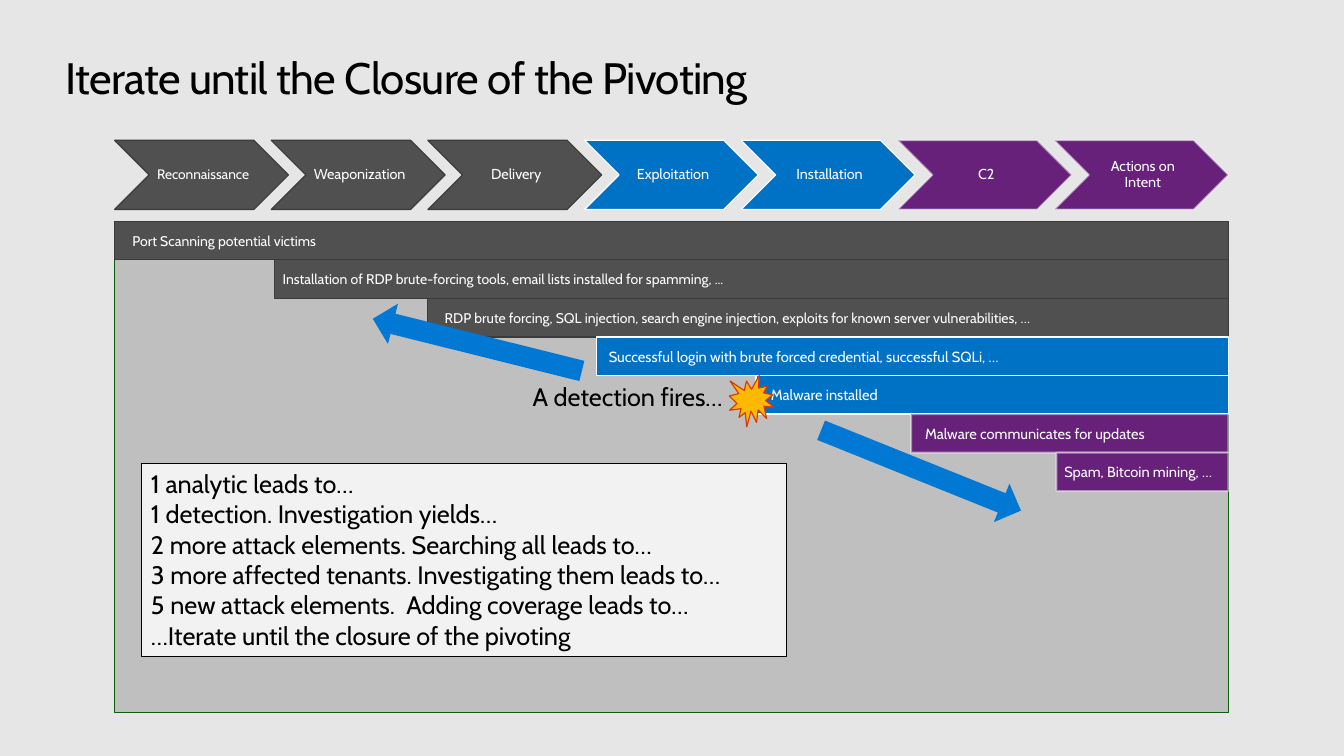
"""Builds the slide on iterating along the attack stages until the pivoting closes."""
from lxml import etree
from pptx import Presentation
from pptx import util as u
from pptx.dml.color import RGBColor
from pptx.enum import shapes, text
from pptx.oxml.ns import qn

COLORS = {
    "background": "E6E6E6", "panel": "BFBFBF", "panel_line": "0C5C0C",
    "gray": "505050", "gray_line": "3B3B3B", "blue": "0072C6",
    "purple": "68217A", "pale": "F9F9F9", "white": "FFFFFF", "black": "000000",
    "note": "F2F2F2", "burst": "FFB900", "burst_line": "D83B01", "arrow": "0078D4",
}
STYLES = {
    "gray": ("gray_line", 0.85),
    "blue": ("white", 0.85),
    "purple": ("pale", 1.35),
}
FONT = "Cabin"


def add_block(kind, box, fill, line=None, width=0.85):
    sp = s.shapes.add_shape(kind, *(u.Inches(v) for v in box))
    sp.shadow.inherit = False
    sp.fill.solid()
    sp.fill.fore_color.rgb = RGBColor.from_string(COLORS[fill])
    if line is None:
        sp.line.fill.background()
        return sp
    sp.line.color.rgb = RGBColor.from_string(COLORS[line])
    sp.line.width = u.Pt(width)
    if line == "pale":
        color = sp.line._get_or_add_ln().find(".//" + qn("a:srgbClr"))
        etree.SubElement(color, qn("a:alpha")).set("val", "50000")
    return sp


def write(sp, words, size, color, insets, anchor, align=text.PP_ALIGN.LEFT):
    tf = sp.text_frame
    tf.word_wrap = True
    tf.vertical_anchor = anchor
    tf.margin_left, tf.margin_top, tf.margin_right, tf.margin_bottom = (
        u.Inches(v) for v in insets)
    tf.text = words
    for p in tf.paragraphs:
        p.alignment = align
        for r in p.runs:
            r.font.name = FONT
            r.font.size = u.Pt(size)
            r.font.color.rgb = RGBColor.from_string(COLORS[color])
    return tf


prs = Presentation()
prs.slide_width, prs.slide_height = u.Inches(13.6), u.Inches(7.65)
s = prs.slides.add_slide(prs.slide_layouts[6])
s.background.fill.solid()
s.background.fill.fore_color.rgb = RGBColor.from_string(COLORS["background"])
SHAPE = shapes.MSO_SHAPE
TOP, MIDDLE = text.MSO_ANCHOR.TOP, text.MSO_ANCHOR.MIDDLE

title = s.shapes.add_textbox(u.Inches(0.66), u.Inches(0.51), u.Inches(12.29), u.Inches(0.55))
tf = write(title, "Iterate until the Closure of the Pivoting", 32, "black", (0, 0, 0, 0), TOP)
tf.paragraphs[0].runs[0].font._element.set("spc", "-50")

LEFT, RIGHT, BARS_TOP, BAR_H = 1.16, 12.43, 2.24, 0.39
add_block(SHAPE.RECTANGLE, (LEFT, BARS_TOP, RIGHT - LEFT, 4.97), "panel", "panel_line")

stages = [
    ("Reconnaissance", "gray", 10),
    ("Weaponization", "gray", 10.5),
    ("Delivery", "gray", 10.5),
    ("Exploitation", "blue", 10.5),
    ("Installation", "blue", 10.5),
    ("C2", "purple", 10.5),
    ("Actions on Intent", "purple", 10.5),
]
STAGE_W = 1.76
step = (RIGHT - LEFT - STAGE_W) / (len(stages) - 1)
for i, (name, fill, size) in enumerate(stages):
    sp = add_block(SHAPE.CHEVRON, (LEFT + i * step, 1.42, STAGE_W, 0.7), fill, *STYLES[fill])
    tf = write(sp, name, size, "white", (0.05, 0.02, 0.02, 0.02), MIDDLE, text.PP_ALIGN.CENTER)
    tf.paragraphs[0].line_spacing = 0.9

bars = [
    (LEFT, 0.18, "gray", 10.2, "Port Scanning potential victims"),
    (2.78, 0.08, "gray", 10.2,
     "Installation of RDP brute-forcing tools, email lists installed for spamming, ..."),
    (4.33, 0.17, "gray", 10.2,
     "RDP brute forcing, SQL injection, search engine injection, "
     "exploits for known server vulnerabilities, …"),
    (6.04, 0.12, "blue", 10.7,
     "Successful login with brute forced credential, successful SQLi, …"),
    (7.65, 0.15, "blue", 10.7, "Malware installed"),
    (9.22, 0.14, "purple", 10.7, "Malware communicates for updates"),
    (10.69, 0.08, "purple", 10.7, "Spam, Bitcoin mining, …"),
]
for i, (x, indent, fill, size, words) in enumerate(bars):
    box = (x, BARS_TOP + i * BAR_H, RIGHT - x, BAR_H)
    sp = add_block(SHAPE.RECTANGLE, box, fill, *STYLES[fill])
    write(sp, words, size, "white", (indent, 0.02, 0.02, 0.02), MIDDLE)

add_block(SHAPE.EXPLOSION1, (7.38, 3.8, 0.45, 0.52), "burst", "burst_line")

steps = [
    "1 analytic leads to…",
    "1 detection. Investigation yields…",
    "2 more attack elements. Searching all leads to…",
    "3 more affected tenants. Investigating them leads to…",
    "5 new attack elements.  Adding coverage leads to…",
    "…Iterate until the closure of the pivoting",
]
note = add_block(SHAPE.RECTANGLE, (1.43, 4.69, 6.53, 1.95), "note", "black", 0.75)
write(note, "\n".join(steps), 18.4, "black", (0.1, 0.05, 0.1, 0.05), TOP)

label = s.shapes.add_textbox(u.Inches(5.29), u.Inches(3.81), u.Inches(2.29), u.Inches(0.42))
write(label, "A detection fires…", 18.4, "black", (0.1, 0.05, 0.1, 0.05), TOP)

for x, y, angle in [(9.11, 3.67, 291.9), (4.62, 2.4, 104)]:
    add_block(SHAPE.DOWN_ARROW, (x, y, 0.42, 2.18), "arrow").rotation = angle

prs.save("out.pptx")
